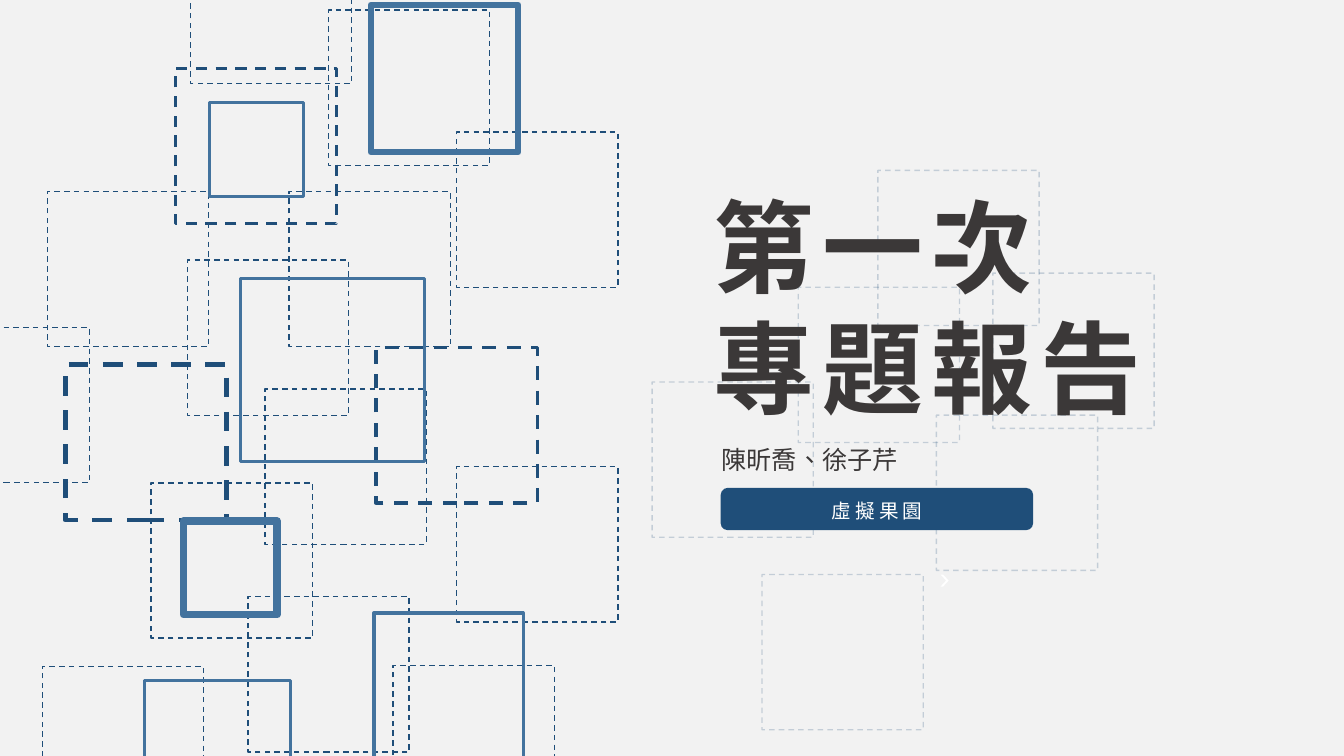
from dataclasses import dataclass
from typing import NamedTuple

from lxml import etree
from pptx import Presentation
from pptx.dml.color import RGBColor
from pptx.enum.dml import MSO_LINE
from pptx.enum.shapes import MSO_SHAPE
from pptx.enum.text import MSO_ANCHOR, PP_ALIGN
from pptx.oxml.ns import qn
from pptx.util import Pt

RECTANGLE = MSO_SHAPE.RECTANGLE
ROUNDED = MSO_SHAPE.ROUNDED_RECTANGLE
CHEVRON = MSO_SHAPE.CHEVRON
DASH = MSO_LINE.DASH
LEFT, CENTER = PP_ALIGN.LEFT, PP_ALIGN.CENTER
TOP = MSO_ANCHOR.TOP

FONT = "Noto Sans CJK SC"
NAVY, STEEL, CHARCOAL = "1F4E79", "43739E", "3B3838"
WHITE, BACKGROUND = "FFFFFF", "F2F2F2"
FRAME_WIDTH, FRAME_HEIGHT = 115.2, 110.9
FADED_ALPHA = 22
INSET = 3.6


class Box(NamedTuple):
    left: float
    top: float
    width: float
    height: float


@dataclass
class DashedFrame:
    left: float
    top: float
    weight: float = 1
    faded: bool = False


@dataclass
class SolidSquare:
    left: float
    top: float
    side: float
    weight: float = 2.25


@dataclass
class Caption:
    box: Box
    lines: list[str]
    size: float
    color: str
    bold: bool = False
    tracking: float = 0
    align: PP_ALIGN = LEFT


DASHED_FRAMES = [
    DashedFrame(544.3, 410.4, faded=True),
    DashedFrame(280.8, 475.2),
    DashedFrame(326.2, 333.4),
    DashedFrame(268.6, 248.4, weight=2.5),
    DashedFrame(326.2, 94.3),
    DashedFrame(136.1, -51.1),
    DashedFrame(234.7, 7.2),
    DashedFrame(133.9, 185.8),
    DashedFrame(189.4, 277.9),
    DashedFrame(206.6, 136.8),
    DashedFrame(108, 344.9),
    DashedFrame(177.1, 426.2),
    DashedFrame(30.2, 475.9),
    DashedFrame(-51.1, 234),
    DashedFrame(46.8, 260.6, weight=3.5),
    DashedFrame(33.8, 136.8),
    DashedFrame(125.3, 49, weight=2),
]
SOLID_SQUARES = [
    SolidSquare(149.8, 73.4, 67),
    SolidSquare(131, 372.2, 67, weight=5.25),
    SolidSquare(172.1, 198.7, 131),
    SolidSquare(103, 486, 104.4),
    SolidSquare(267.1, 437.8, 106.6),
    SolidSquare(265, 3.6, 105.1, weight=4.75),
]
FADED_FRAMES = [
    DashedFrame(465.8, 272.9, faded=True),
    DashedFrame(570.2, 205.2, faded=True),
    DashedFrame(709.2, 195.1, faded=True),
    DashedFrame(668.9, 296.6, faded=True),
    DashedFrame(627.1, 121.7, faded=True),
]

TITLE = Caption(Box(502.6, 122.4, 394.6, 181.4), ["第一次", "專題報告"],
                72, CHARCOAL, bold=True, tracking=6)
AUTHORS = Caption(Box(508.3, 312.5, 228.2, 28.8), ["陳昕喬、徐子芹"], 18, CHARCOAL)
TOPIC = Caption(Box(520.6, 351.4, 211.7, 24.5), ["虛擬果園"],
                14, WHITE, tracking=3, align=CENTER)
BUTTON = Box(514.8, 348.5, 223.2, 30.2)
ARROW = Box(671.8, 410.4, 5.8, 8.6)


def rgb(color: str) -> RGBColor:
    return RGBColor.from_string(color)


def add_box(slide, kind, box: Box):
    shape = slide.shapes.add_shape(kind, *(Pt(length) for length in box))
    shape.shadow.inherit = False
    return shape


def add_filled(slide, kind, box: Box, color: str):
    shape = add_box(slide, kind, box)
    shape.fill.solid()
    shape.fill.fore_color.rgb = rgb(color)
    shape.line.fill.background()
    return shape


def add_outline(slide, box: Box, color: str, weight: float):
    shape = add_box(slide, RECTANGLE, box)
    shape.fill.background()
    shape.line.color.rgb = rgb(color)
    shape.line.width = Pt(weight)
    return shape


def add_dashed_frame(slide, frame: DashedFrame) -> None:
    box = Box(frame.left, frame.top, FRAME_WIDTH, FRAME_HEIGHT)
    shape = add_outline(slide, box, NAVY, frame.weight)
    shape.line.dash_style = DASH
    if frame.faded:
        color = shape.line._ln.find(".//" + qn("a:srgbClr"))
        etree.SubElement(color, qn("a:alpha"), val=str(FADED_ALPHA * 1000))


def add_solid_square(slide, square: SolidSquare) -> None:
    box = Box(square.left, square.top, square.side, square.side)
    add_outline(slide, box, STEEL, square.weight)


def write_caption(shape, caption: Caption) -> None:
    """Set tight lines of 1.2 em, lowered a little to keep the baseline."""
    frame = shape.text_frame
    frame.word_wrap = True
    frame.vertical_anchor = TOP
    frame.margin_top = Pt(INSET + 0.085 * caption.size)
    frame.margin_bottom = Pt(0)
    for index, line in enumerate(caption.lines):
        paragraph = frame.add_paragraph() if index else frame.paragraphs[0]
        paragraph.alignment = caption.align
        paragraph.line_spacing = Pt(1.2 * caption.size)
        run = paragraph.add_run()
        run.text = line
        run.font.name = FONT
        run.font.size = Pt(caption.size)
        run.font.bold = caption.bold
        run.font.color.rgb = rgb(caption.color)
        properties = run._r.get_or_add_rPr()
        properties.set("lang", "zh-TW")
        properties.set("spc", str(round(caption.tracking * 100)))
        etree.SubElement(properties, qn("a:ea"), typeface=FONT)


def add_text(slide, caption: Caption) -> None:
    box = slide.shapes.add_textbox(*(Pt(length) for length in caption.box))
    write_caption(box, caption)


def main() -> None:
    presentation = Presentation()
    presentation.slide_width, presentation.slide_height = Pt(960), Pt(540)
    slide = presentation.slides.add_slide(presentation.slide_layouts[6])
    slide.background.fill.solid()
    slide.background.fill.fore_color.rgb = rgb(BACKGROUND)

    for frame in DASHED_FRAMES:
        add_dashed_frame(slide, frame)
    for square in SOLID_SQUARES:
        add_solid_square(slide, square)
    for frame in FADED_FRAMES:
        add_dashed_frame(slide, frame)

    add_text(slide, TITLE)
    add_filled(slide, ROUNDED, BUTTON, NAVY)
    add_text(slide, AUTHORS)
    arrow = add_filled(slide, CHEVRON, ARROW, WHITE)
    arrow.adjustments[0] = 0.69
    write_caption(add_filled(slide, RECTANGLE, TOPIC.box, NAVY), TOPIC)

    presentation.save("out.pptx")


if __name__ == "__main__":
    main()
